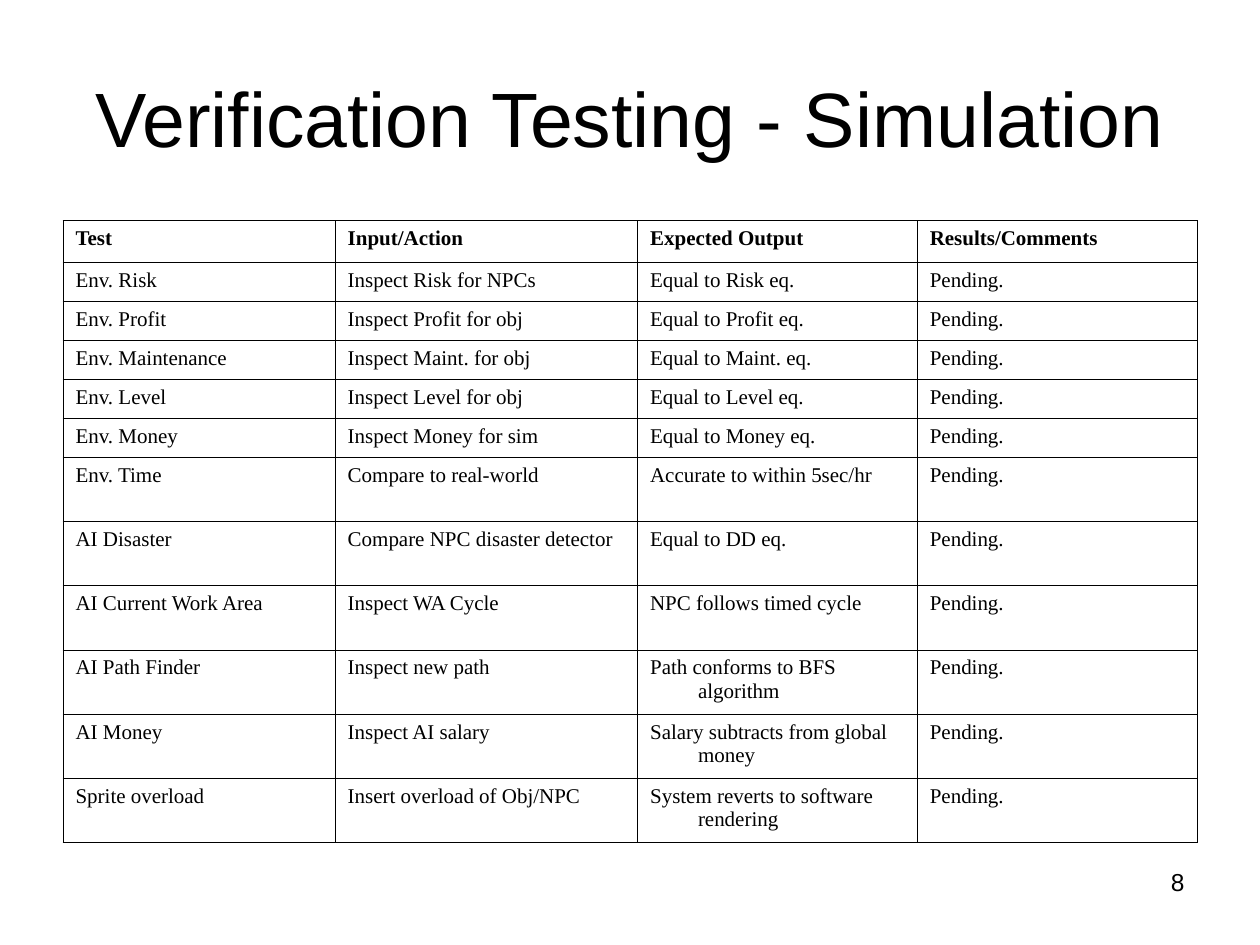
from lxml import etree
from pptx import Presentation
from pptx.dml.color import RGBColor
from pptx.enum import text as t
from pptx.oxml import ns
from pptx.util import Inches, Pt

BLACK = RGBColor(0, 0, 0)
BORDER_WIDTH = Pt(0.45)
HANGING_INDENT = Inches(0.38)
COLUMN_WIDTHS = [2.16, 2.4, 2.22, 2.22]
ROW_HEIGHTS = [0.33] + [0.31] * 5 + [0.51] * 6
HEADINGS = ("Test", "Input/Action", "Expected Output", "Results/Comments")
TESTS = [
    ("Env. Risk", "Inspect Risk for NPCs", "Equal to Risk eq."),
    ("Env. Profit", "Inspect Profit for obj", "Equal to Profit eq."),
    ("Env. Maintenance", "Inspect Maint. for obj", "Equal to Maint. eq."),
    ("Env. Level", "Inspect Level for obj", "Equal to Level eq."),
    ("Env. Money", "Inspect Money for sim", "Equal to Money eq."),
    ("Env. Time", "Compare to real-world", "Accurate to within 5sec/hr"),
    ("AI Disaster", "Compare NPC disaster detector", "Equal to DD eq."),
    ("AI Current Work Area", "Inspect WA Cycle", "NPC follows timed cycle"),
    ("AI Path Finder", "Inspect new path", "Path conforms to BFS algorithm"),
    ("AI Money", "Inspect AI salary", "Salary subtracts from global money"),
    ("Sprite overload", "Insert overload of Obj/NPC", "System reverts to software rendering"),
]
RESULT = "Pending."


def write_text(frame, wording, *, size, font="Arial", bold=False,
               align=t.PP_ALIGN.LEFT, hanging=0):
    frame.word_wrap = True
    paragraph = frame.paragraphs[0]
    paragraph.alignment = align
    if hanging:
        properties = paragraph._p.get_or_add_pPr()
        properties.set("marL", str(hanging))
        properties.set("indent", str(-hanging))
    run = paragraph.add_run()
    run.text = wording
    run.font.name = font
    run.font.size = Pt(size)
    run.font.bold = bold
    run.font.color.rgb = BLACK


def add_label(slide, wording, left, top, width, height,
              anchor=t.MSO_ANCHOR.TOP, **text_format):
    label = slide.shapes.add_textbox(
        Inches(left), Inches(top), Inches(width), Inches(height))
    label.text_frame.vertical_anchor = anchor
    write_text(label.text_frame, wording, **text_format)


def outline_cell(cell):
    properties = cell._tc.get_or_add_tcPr()
    for side in ("lnL", "lnR", "lnT", "lnB"):
        border = etree.SubElement(properties, ns.qn(f"a:{side}"), w=str(BORDER_WIDTH))
        fill = etree.SubElement(border, ns.qn("a:solidFill"))
        etree.SubElement(fill, ns.qn("a:srgbClr"), val=str(BLACK))


def add_test_table(slide):
    rows = [HEADINGS] + [(*test, RESULT) for test in TESTS]
    table = slide.shapes.add_table(
        len(rows), len(HEADINGS), Inches(0.5), Inches(1.75),
        Inches(sum(COLUMN_WIDTHS)), Inches(sum(ROW_HEIGHTS))).table
    table.first_row = False
    table.horz_banding = False
    for column, width in zip(table.columns, COLUMN_WIDTHS):
        column.width = Inches(width)
    for index, (row, height, wordings) in enumerate(zip(table.rows, ROW_HEIGHTS, rows)):
        row.height = Inches(height)
        for cell, wording in zip(row.cells, wordings):
            outline_cell(cell)
            cell.fill.background()
            write_text(cell.text_frame, wording, size=12, font="Times New Roman",
                       bold=index == 0, hanging=HANGING_INDENT)


def main():
    deck = Presentation()
    deck.slide_width = Inches(10)
    deck.slide_height = Inches(7.5)
    slide = deck.slides.add_slide(deck.slide_layouts[6])
    add_label(slide, "Verification Testing - Simulation", 0.5, 0.3, 9, 1.25,
              anchor=t.MSO_ANCHOR.MIDDLE, size=44, align=t.PP_ALIGN.CENTER)
    add_test_table(slide)
    add_label(slide, "8", 7.17, 6.83, 2.33, 0.52, size=14, align=t.PP_ALIGN.RIGHT)
    deck.save("out.pptx")


if __name__ == "__main__":
    main()
